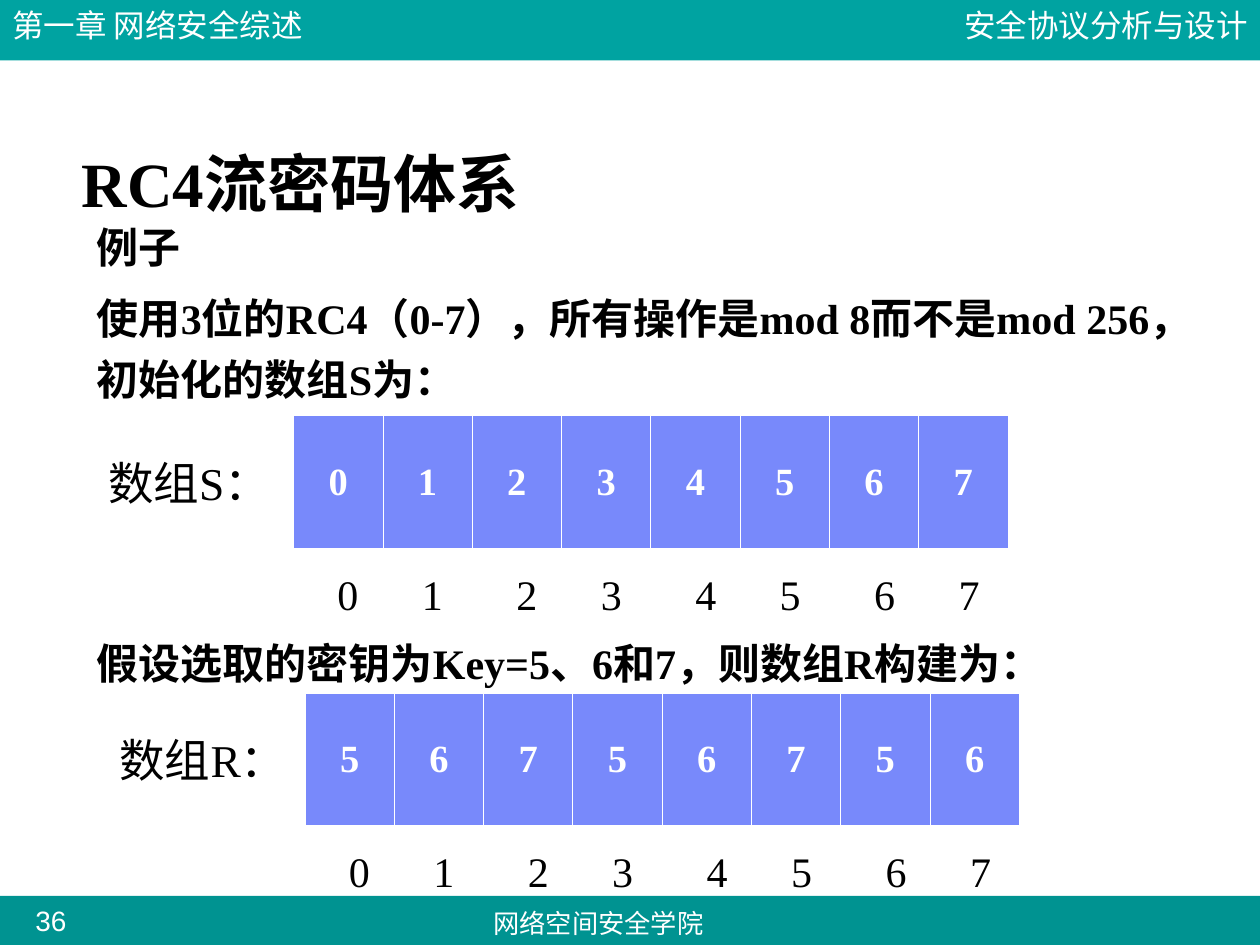
from dataclasses import dataclass

from lxml import etree
from pptx import Presentation
from pptx.dml.color import RGBColor
from pptx.enum.shapes import MSO_SHAPE
from pptx.enum.text import MSO_ANCHOR, MSO_AUTO_SIZE, PP_ALIGN
from pptx.oxml.ns import qn
from pptx.util import Inches, Pt

RECT = MSO_SHAPE.RECTANGLE
LEFT, MID, RIGHT = PP_ALIGN.LEFT, PP_ALIGN.CENTER, PP_ALIGN.RIGHT
TOP, CENTER = MSO_ANCHOR.TOP, MSO_ANCHOR.MIDDLE
FIXED = MSO_AUTO_SIZE.NONE


@dataclass(frozen=True)
class Theme:
    head: str = "00A3A1"
    foot: str = "009391"
    cell: str = "7889FB"
    white: str = "FFFFFF"
    black: str = "000000"
    sans: str = "Arial"
    serif: str = "Times New Roman"
    title: int = 36
    label: int = 26
    body: int = 24
    value: int = 22
    bar: int = 18
    page: int = 16
    school: int = 15


T = Theme()


def style(para, size, color, face=T.serif, bold=False, align=LEFT):
    para.alignment = align
    font = para.font
    font.name, font.size, font.bold = face, Pt(size), bold
    font.color.rgb = RGBColor.from_string(color)


def place(shape, box):
    shape.left, shape.top, shape.width, shape.height = map(Inches, box)


def write(slide, box, text, size, color, face=T.serif, align=LEFT, inset=True):
    """Add a one-line text box and return its paragraph."""
    frame = slide.shapes.add_textbox(*map(Inches, box)).text_frame
    frame.word_wrap = True
    if not inset:
        frame.margin_left = frame.margin_right = 0
        frame.margin_top = frame.margin_bottom = 0
    para = frame.paragraphs[0]
    para.text = text
    style(para, size, color, face, align=align)
    return para


def add_bar(slide, box, color):
    bar = slide.shapes.add_shape(RECT, *map(Inches, box))
    bar.shadow.inherit = False
    bar.fill.solid()
    bar.fill.fore_color.rgb = RGBColor.from_string(color)
    bar.line.fill.background()


def add_head(slide, box):
    x, y, w, h = box
    add_bar(slide, box, T.head)
    wide = 3.08
    write(slide, (x, y, wide, 0.4), "第一章 网络安全综述", T.bar, T.white, T.sans)
    write(slide, (x + w - wide, y, wide, 0.4), "安全协议分析与设计",
          T.bar, T.white, T.sans, RIGHT)


def add_foot(slide, box):
    x, y, w, h = box
    add_bar(slide, box, T.foot)
    write(slide, (x + 3.58, y + 0.04, 2.34, 0.35), "网络空间安全学院",
          T.school, T.white, T.sans, MID)
    write(slide, (x + 0.14, y + 0.06, 0.53, 0.27), "36",
          T.page, T.white, T.sans, MID, inset=False)


def add_title(slide, box, text):
    shape = slide.shapes.title
    place(shape, box)
    frame = shape.text_frame
    frame.auto_size, frame.vertical_anchor = FIXED, CENTER
    para = frame.paragraphs[0]
    para.text = text
    para.line_spacing = 1.5
    style(para, T.title, T.black, bold=True)


def add_body(slide, box, items):
    """Fill the body from pairs of text and space before in points."""
    shape = slide.placeholders[1]
    place(shape, box)
    frame = shape.text_frame
    frame.auto_size, frame.vertical_anchor = FIXED, TOP
    for i, (text, gap) in enumerate(items):
        para = frame.paragraphs[0] if i == 0 else frame.add_paragraph()
        para.text = text
        props = para._p.get_or_add_pPr()
        props.set("marL", str(Inches(0.31)))
        props.set("indent", "0")
        para.line_spacing = 1.2
        para.space_before, para.space_after = Pt(gap), Pt(3)
        etree.SubElement(props, qn("a:buNone"))
        style(para, T.body, T.black, bold=True)


def edge(cell):
    """Give a cell thin white borders, heavier at the bottom."""
    props = cell._tc.get_or_add_tcPr()
    for i, (side, width) in enumerate(
            [("L", 0.45), ("R", 0.45), ("T", 0.45), ("B", 1.47)]):
        line = etree.Element(qn(f"a:ln{side}"), w=str(Pt(width)))
        fill = etree.SubElement(line, qn("a:solidFill"))
        etree.SubElement(fill, qn("a:srgbClr"), val=T.white)
        props.insert(i, line)


def add_array(slide, box, label, values):
    """Draw a labelled array with its index row below."""
    x, y, w, h = box
    table = slide.shapes.add_table(1, len(values), *map(Inches, box)).table
    table.first_row = table.horz_banding = False
    for i, value in enumerate(values):
        table.columns[i].width = Inches(w / len(values))
        cell = table.cell(0, i)
        cell.fill.solid()
        cell.fill.fore_color.rgb = RGBColor.from_string(T.cell)
        cell.vertical_anchor = CENTER
        edge(cell)
        para = cell.text_frame.paragraphs[0]
        para.text = str(value)
        style(para, T.value, T.white, bold=True, align=MID)

    # Index row, on tab stops with alternating gaps
    row = "\t".join(str(i) for i in range(len(values)))
    para = write(slide, (x + 0.25, y + h + 0.1, 6.08, 0.5), row, T.body, T.black)
    props = para._p.get_or_add_pPr()
    tabs = etree.Element(qn("a:tabLst"))
    for i in range(1, len(values)):
        stop = i // 2 * 1.42 + i % 2 * 0.67
        etree.SubElement(tabs, qn("a:tab"), pos=str(Inches(stop)), algn="l")
    props.insert(0, tabs)

    write(slide, (x - 1.57, y + 0.26, 1.7, 0.54), label, T.label, T.black)


def main():
    deck = Presentation()
    deck.slide_width, deck.slide_height = Inches(10), Inches(7.5)
    slide = deck.slides.add_slide(deck.slide_layouts[1])

    # Bars
    add_foot(slide, (0, 7.11, 10, 0.42))
    add_head(slide, (0, 0, 10, 0.48))

    # Title and text, with room for the first array
    add_title(slide, (0.55, 0.96, 9.02, 0.67), "RC4流密码体系")
    add_body(slide, (0.36, 1.63, 9.4, 4.92), [
        ("例子", 0),
        ("使用3位的RC4（0-7），所有操作是mod 8而不是mod 256，初始化的数组S为：", 3),
        ("假设选取的密钥为Key=5、6和7，则数组R构建为：", 125),
    ])

    # Arrays
    key = [5, 6, 7]
    size = 8
    add_array(slide, (2.33, 3.3, 5.67, 1.06), "数组S：", range(size))
    add_array(slide, (2.42, 5.5, 5.67, 1.06), "数组R：",
              [key[i % len(key)] for i in range(size)])

    deck.save("out.pptx")


if __name__ == "__main__":
    main()
